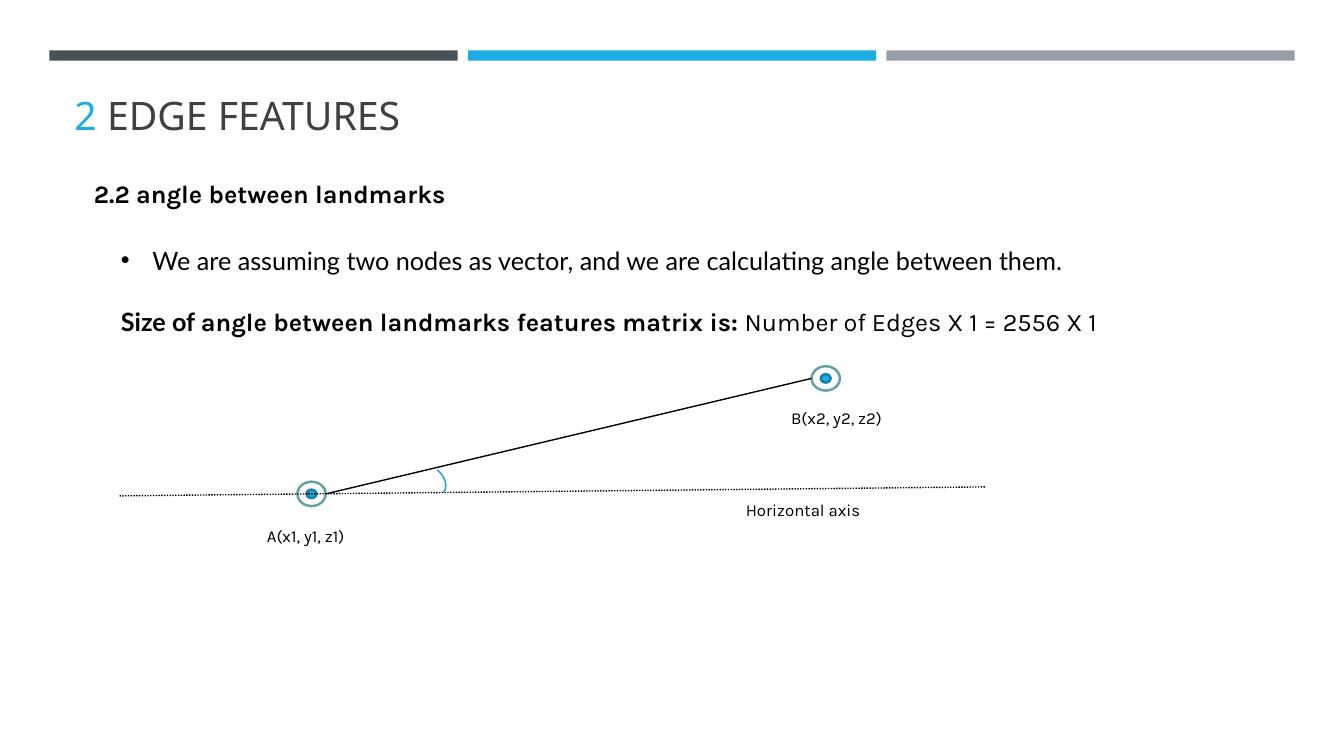
from lxml import etree
from pptx import Presentation
from pptx.dml.color import RGBColor
from pptx.enum import dml, shapes, text
from pptx.oxml import ns
from pptx.util import Pt

HUES = {"slate": "465359", "blue": "1CADE4", "gray": "969FA7", "ink": "404040",
        "black": "000000", "white": "FFFFFF", "ring": "62A39F", "rim": "1580A9",
        "arc": "189CCE"}
BARS = ["slate", "blue", "gray"]
TITLE = [("2", "Noto Sans", 28, "blue", False),
         (" EDGE FEATURES", "Noto Sans", 28, "ink", False)]
BODY = [
    [("We are assuming two nodes as vector, and we are calculating angle between them.",
      "Lato", 18, "black", False)],
    [("Size of ", "Lato", 18, "black", True),
     ("angle between landmarks features matrix is: ", "Karla", 18, "black", True),
     ("Number of Edges X 1 = 2556 X 1", "Karla", 18, "black", False)],
]
NOTES = [
    ("2.2 angle between landmarks", 60, 123.8, 280, 29, 18, True),
    ("B(x2, y2, z2)", 558, 288, 84.2, 21.8, 12, False),
    ("A(x1, y1, z1)", 183.6, 372.3, 84.2, 21.8, 12, False),
    ("Horizontal axis", 525.6, 353.5, 106, 21.8, 12, False),
]
NODES = [(222.5, 352.8), (589.8, 270.3)]
DISCS = [(20.2, 17.4, "white", "ring"), (7, 6, "blue", "rim")]
AXIS = (85.4, 354.2, 704, 347.8)


def tint(name):
    return RGBColor.from_string(HUES[name])


def fill_in(para, runs):
    for words, font, size, hue, bold in runs:
        run = para.add_run()
        run.text = words
        run.font.name, run.font.size, run.font.bold = font, Pt(size), bold
        run.font.color.rgb = tint(hue)


def place(item, *box):
    item.left, item.top, item.width, item.height = map(Pt, box)


def draw(home, kind, box, fill=None, line=None, width=1.75):
    item = home.add_shape(kind, *map(Pt, box))
    item.shadow.inherit = False
    if fill:
        item.fill.solid()
        item.fill.fore_color.rgb = tint(fill)
    else:
        item.fill.background()
    if line:
        item.line.color.rgb = tint(line)
        item.line.width = Pt(width)
    else:
        item.line.fill.background()
    return item


def link(ends, dash=None):
    line = slide.shapes.add_connector(shapes.MSO_CONNECTOR.STRAIGHT, *map(Pt, ends))
    line.line.color.rgb = tint("black")
    line.line.width = Pt(1)
    if dash:
        line.line.dash_style = dash
    etree.SubElement(line._element.spPr, ns.qn("a:effectLst"))


def bullet(para, mark, left, hang):
    props = para._p.get_or_add_pPr()
    props.set("marL", str(Pt(left)))
    props.set("indent", str(Pt(hang)))
    if mark:
        font = etree.SubElement(props, ns.qn("a:buFont"))
        font.set("typeface", "Arial")
        etree.SubElement(props, ns.qn("a:buChar")).set("char", mark)
    else:
        etree.SubElement(props, ns.qn("a:buNone"))


deck = Presentation()
deck.slide_width, deck.slide_height = Pt(960), Pt(540)
slide = deck.slides.add_slide(deck.slide_layouts[1])
KIND = shapes.MSO_SHAPE

for i, hue in enumerate(BARS):
    draw(slide.shapes, KIND.RECTANGLE, (35.3 + i * 298.9, 36, 291.6, 7.4), hue)

title = slide.shapes.title
place(title, 46, 55.4, 868.3, 46.8)
frame = title.text_frame
frame.auto_size = text.MSO_AUTO_SIZE.NONE
frame.vertical_anchor = text.MSO_ANCHOR.BOTTOM
frame.paragraphs[0].alignment = text.PP_ALIGN.LEFT
fill_in(frame.paragraphs[0], TITLE)

body = slide.placeholders[1]
place(body, 79.2, 171.4, 818.6, 72.7)
frame = body.text_frame
frame.auto_size = text.MSO_AUTO_SIZE.NONE
for i, runs in enumerate(BODY):
    para = frame.add_paragraph() if i else frame.paragraphs[0]
    para.space_before = Pt(22 * i)
    bullet(para, *((None, 0, 0) if i else ("•", 22.5, -22.5)))
    fill_in(para, runs)

for words, x, y, w, h, size, bold in NOTES:
    note = slide.shapes.add_textbox(*map(Pt, (x, y, w, h)))
    note.text_frame.word_wrap = True
    fill_in(note.text_frame.paragraphs[0], [(words, "Karla", size, "black", bold)])

for x, y in NODES:
    node = slide.shapes.add_group_shape()
    for w, h, fill, line in DISCS:
        draw(node.shapes, KIND.OVAL, (x - w / 2, y - h / 2, w, h), fill, line)

(ax, ay), (bx, by) = NODES
reach = DISCS[0][0] / 2
link((ax + reach, ay, bx - reach, by))
link(AXIS, dml.MSO_LINE.ROUND_DOT)
arc = draw(slide.shapes, KIND.ARC, (292.3, 333.4, 27.4, 20.2), None, "arc", 1)
arc.rotation = 38.3

deck.save("out.pptx")
